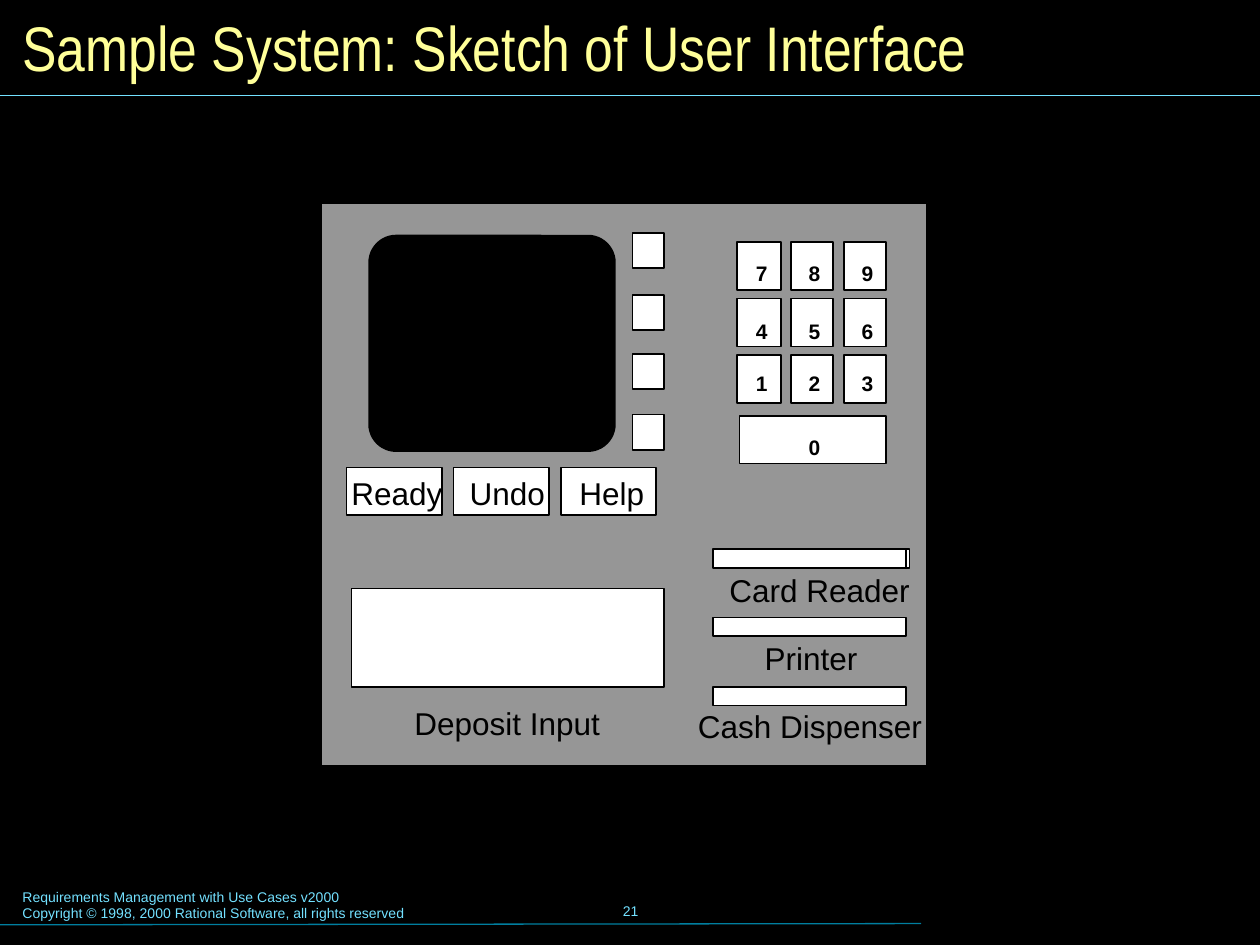
from lxml.etree import SubElement
from pptx import Presentation
from pptx.dml.color import RGBColor
from pptx.enum.shapes import MSO_CONNECTOR, MSO_SHAPE
from pptx.enum.text import MSO_ANCHOR, PP_ALIGN
from pptx.oxml.ns import qn
from pptx.util import Inches, Pt

BLACK, WHITE, GREY = "000000", "FFFFFF", "969696"
CYAN, TEAL, CREAM = "73E1FF", "007E9F", "FFFF99"

TITLE = "Sample System: Sketch of User Interface"
FOOTER = [
    "Requirements Management with Use Cases v2000",
    "Copyright © 1998, 2000 Rational Software, all rights reserved",
]
NUMBER = "21"
RULES = [((0, 7.34), (7.31, 7.33), TEAL), ((0, 0.76), (10, 0.76), CYAN)]

KEYS = ["789", "456", "123"]
COLS = [(5.85, 0.35), (6.28, 0.33), (6.7, 0.33)]
LABEL_TOPS = [2.02, 2.48, 2.89]
BUTTONS = [("Ready", 2.69, 0.93), ("Undo", 3.63, 0.8), ("Help", 4.5, 0.72)]
SIDE_TOPS = [1.85, 2.34, 2.81, 3.29]
SLOTS = [(5.69, 4.36), (5.66, 4.36), (5.66, 4.9), (5.66, 5.45)]
LABELS = [
    ("Card Reader", (5.69, 4.48, 1.63, 0.4)),
    ("Printer", (5.97, 5.02, 0.94, 0.4)),
    ("Cash Dispenser", (5.44, 5.56, 1.98, 0.4)),
    ("Deposit Input", (3.19, 5.54, 1.68, 0.4)),
]

SMALL = {"size": Pt(8), "name": "Arial"}
DIGIT = {"size": Pt(12), "name": "Arial", "bold": True}
LABEL = {"size": Pt(18), "name": "Arial"}
HEAD = {"size": Pt(36), "name": "Arial Narrow"}


def color(code):
    return RGBColor.from_string(code)


def add_box(slide, spot, fill=WHITE, kind=MSO_SHAPE.RECTANGLE):
    box = slide.shapes.add_shape(kind, *map(Inches, spot))
    box.shadow.inherit = False
    box.fill.solid()
    box.fill.fore_color.rgb = color(fill)
    box.line.color.rgb = color(BLACK)
    box.line.width = Pt(1)
    return box


def add_text(slide, spot, lines, style, ink=BLACK, wrap=False,
             anchor=MSO_ANCHOR.TOP, align=PP_ALIGN.LEFT):
    frame = slide.shapes.add_textbox(*map(Inches, spot)).text_frame
    frame.word_wrap = wrap
    frame.vertical_anchor = anchor
    frame.text = "\n".join(lines)
    for para in frame.paragraphs:
        para.alignment = align
        for key, value in style.items():
            setattr(para.font, key, value)
        para.font.color.rgb = color(ink)


def add_rule(slide, start, end, ink):
    rule = slide.shapes.add_connector(
        MSO_CONNECTOR.STRAIGHT, *map(Inches, start + end))
    rule.line.color.rgb = color(ink)
    rule.line.width = Pt(0.75)
    SubElement(rule.element.spPr, qn("a:effectLst"))


def add_keypad(slide):
    for row, digits in enumerate(KEYS):
        for col, digit in enumerate(digits):
            left, width = COLS[col]
            add_box(slide, (left, 1.92 + 0.45 * row, width, 0.38))
            spot = (5.9 + 0.42 * col, LABEL_TOPS[row], 0.29, 0.3)
            add_text(slide, spot, [digit], DIGIT)
    add_box(slide, (5.87, 3.3, 1.16, 0.38))
    add_text(slide, (6.32, 3.4, 0.29, 0.3), ["0"], DIGIT)


def add_panel(slide):
    add_box(slide, (2.55, 1.61, 4.81, 4.47), GREY)
    screen = add_box(slide, (2.93, 1.87, 1.95, 1.71), BLACK,
                     MSO_SHAPE.ROUNDED_RECTANGLE)
    screen.adjustments[0] = 0.125
    add_keypad(slide)
    for col, (name, left, width) in enumerate(BUTTONS):
        add_box(slide, (2.75 + 0.85 * col, 3.71, 0.76, 0.38))
        add_text(slide, (left, 3.71, width, 0.4), [name], LABEL)
    for top in SIDE_TOPS:
        add_box(slide, (5.02, top, 0.25, 0.28))
    add_box(slide, (2.79, 4.67, 2.48, 0.78))
    for left, top in SLOTS:
        add_box(slide, (left, top, 1.53, 0.15))
    for name, spot in LABELS:
        add_text(slide, spot, [name], LABEL)


def main():
    """Build the slide with the sketch of the machine's front panel."""
    deck = Presentation()
    deck.slide_width, deck.slide_height = Inches(10), Inches(7.5)
    slide = deck.slides.add_slide(deck.slide_layouts[6])
    back = slide.background.fill
    back.solid()
    back.fore_color.rgb = color(BLACK)
    add_text(slide, (0.08, 7, 5.1, 0.37), FOOTER, SMALL, CYAN, True)
    add_text(slide, (3.42, 6.98, 3.17, 0.5), [NUMBER], SMALL, CYAN, True,
             MSO_ANCHOR.MIDDLE, PP_ALIGN.CENTER)
    for start, end, ink in RULES:
        add_rule(slide, start, end, ink)
    add_panel(slide)
    add_text(slide, (0.08, 0.08, 9.84, 0.58), [TITLE], HEAD, CREAM, True,
             MSO_ANCHOR.MIDDLE)
    deck.save("out.pptx")


if __name__ == "__main__":
    main()
